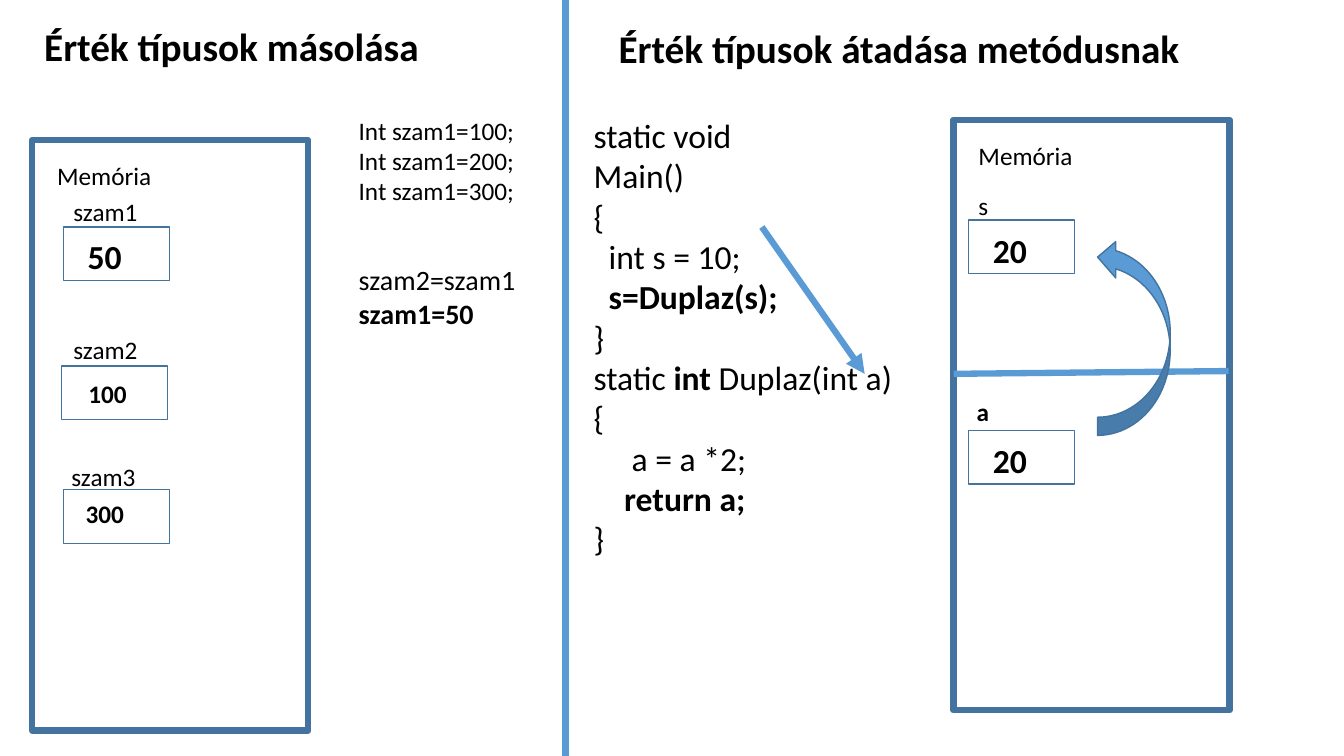
from pptx import Presentation
from pptx.dml.color import RGBColor
from pptx.enum.shapes import MSO_CONNECTOR, MSO_SHAPE
from pptx.enum.text import MSO_ANCHOR, MSO_AUTO_SIZE, PP_ALIGN
from pptx.oxml.ns import qn
from pptx.util import Cm, Pt
from lxml import etree

RECTANGLE = MSO_SHAPE.RECTANGLE
CURVED_ARROW = MSO_SHAPE.CURVED_RIGHT_ARROW
STRAIGHT = MSO_CONNECTOR.STRAIGHT
TOP = MSO_ANCHOR.TOP
LEFT = PP_ALIGN.LEFT
NO_FIT = MSO_AUTO_SIZE.NONE
GROW = MSO_AUTO_SIZE.SHAPE_TO_FIT_TEXT

FONT = "Calibri"
COLORS = {"text": "000000", "accent": "5B9BD5", "outline": "43739E"}
TITLE_ONLY = 5
BOLD_MARK = "|"
THICK, THIN = 4.5, 1
CELL_WIDTH, CELL_HEIGHT = 2.67, 1.35
MEMORY_WIDTH, MEMORY_HEIGHT = 6.96, 14.88

VARIABLES = [
    ("szam1", (1.6, 4.83), (1.6, 5.72), "50", (1.96, 5.82), 24),
    ("szam2", (1.6, 8.31), (1.55, 9.22), "100", (1.98, 9.42), 18),
    ("szam3", (1.55, 11.51), (1.6, 12.34), "300", (1.91, 12.42), 18),
    ("s", (24.41, 4.67), (24.41, 5.54), "20", (24.77, 5.66), 24),
    ("|a|", (24.36, 9.86), (24.41, 10.85), "20", (24.77, 10.95), 24),
]
DECLARATIONS = ["Int szam1=100;", "Int szam1=200;", "Int szam1=300;"]
ASSIGNMENTS = ["szam2=szam1", "|szam1=50|"]
MAIN_METHOD = ["static void Main()", "{", "int s = 10;", "|s=Duplaz(s);|", "}"]
DUPLAZ_METHOD = ["static |int |Duplaz(int a)", "{", "a = a *2;", "|return a;|", "}"]


def color(name):
    """Return the named colour."""
    return RGBColor.from_string(COLORS[name])


def place(shape, left, top, width, height):
    """Set the position and size of a shape in centimetres."""
    shape.left, shape.top = Cm(left), Cm(top)
    shape.width, shape.height = Cm(width), Cm(height)


def write_line(paragraph, line, size):
    """Write one line, with the parts between marks in bold."""
    for number, part in enumerate(line.split(BOLD_MARK)):
        if part:
            run = paragraph.add_run()
            run.text = part
            run.font.name = FONT
            run.font.size = Pt(size)
            run.font.bold = number % 2 == 1
            run.font.color.rgb = color("text")


def format_title(shape, text, left, top, width):
    """Write a heading in a placeholder or text box."""
    place(shape, left, top, width, 1.52)
    frame = shape.text_frame
    frame.word_wrap = True
    frame.auto_size = NO_FIT
    frame.vertical_anchor = TOP
    paragraph = frame.paragraphs[0]
    paragraph.alignment = LEFT
    paragraph.line_spacing = 0.9
    write_line(paragraph, BOLD_MARK + text + BOLD_MARK, 28)


def add_text(slide, lines, position, width, height, size=18, wrap=False, indents=()):
    """Add a text box with one paragraph per line."""
    box = slide.shapes.add_textbox(*map(Cm, (*position, width, height)))
    frame = box.text_frame
    frame.word_wrap = wrap
    frame.auto_size = GROW
    for number, line in enumerate(lines):
        paragraph = frame.add_paragraph() if number else frame.paragraphs[0]
        write_line(paragraph, line, size)
        if number in indents:
            properties = paragraph._p.get_or_add_pPr()
            properties.set("marL", str(Cm(indents[number])))


def add_outlined(slide, kind, position, width, height, line_width, fill=None):
    """Add a preset shape with the dark blue outline."""
    shape = slide.shapes.add_shape(kind, *map(Cm, (*position, width, height)))
    shape.shadow.inherit = False
    if fill:
        shape.fill.solid()
        shape.fill.fore_color.rgb = color(fill)
    else:
        shape.fill.background()
    shape.line.color.rgb = color("outline")
    shape.line.width = Pt(line_width)
    return shape


def add_line(slide, start, end, arrow=False):
    """Add a thick straight line, optionally ending in an arrowhead."""
    connector = slide.shapes.add_connector(STRAIGHT, *map(Cm, (*start, *end)))
    connector.line.color.rgb = color("accent")
    connector.line.width = Pt(THICK)
    properties = connector._element.spPr
    if arrow:
        outline = properties.find(qn("a:ln"))
        etree.SubElement(outline, qn("a:tailEnd"), type="triangle")
    etree.SubElement(properties, qn("a:effectLst"))


def add_memory(slide, left, top):
    """Add a memory frame with its caption."""
    add_outlined(slide, RECTANGLE, (left, top), MEMORY_WIDTH, MEMORY_HEIGHT, THICK)
    add_text(slide, ["Memória"], (left + 0.38, top + 0.39), 3, 1.02, wrap=True)


def add_variable(slide, name, name_at, cell_at, value, value_at, size):
    """Add a named memory cell with its value."""
    add_outlined(slide, RECTANGLE, cell_at, CELL_WIDTH, CELL_HEIGHT, THIN)
    add_text(slide, [name], name_at, 3.56, 1.02, wrap=True)
    width, height = (1.37, 1.27) if size == 24 else (1.5, 1.02)
    add_text(slide, [BOLD_MARK + value + BOLD_MARK], value_at, width, height, size)


def main():
    """Build the slide and save it."""
    presentation = Presentation()
    presentation.slide_width, presentation.slide_height = Cm(33.87), Cm(19.05)
    slide = presentation.slides.add_slide(presentation.slide_layouts[TITLE_ONLY])

    format_title(slide.shapes.title, "Érték típusok másolása", 0.86, 0.56, 11.76)
    passing_title = slide.shapes.add_textbox(0, 0, 0, 0)
    format_title(passing_title, "Érték típusok átadása metódusnak", 15.34, 0.61, 16.76)

    add_memory(slide, 0.81, 3.53)
    add_memory(slide, 24.03, 3.02)
    for variable in VARIABLES:
        add_variable(slide, *variable)

    add_text(slide, DECLARATIONS, (8.79, 2.77), 4.47, 2.58)
    add_text(slide, ASSIGNMENTS, (8.79, 6.5), 4.5, 1.96, 20)
    add_text(slide, MAIN_METHOD, (14.71, 2.77), 6.4, 5.4, 24, indents={2: 0.38, 3: 0.38})
    add_text(slide, DUPLAZ_METHOD, (14.71, 8.87), 8.1, 5.4, 24, indents={2: 0.96, 3: 0.77})

    add_line(slide, (14.25, 0), (14.25, 19.05))
    add_line(slide, (19.2, 5.72), (21.79, 9.42), arrow=True)
    add_line(slide, (24.03, 9.42), (30.96, 9.35))
    return_arrow = add_outlined(
        slide, CURVED_ARROW, (27.66, 6.02), 1.83, 4.95, THIN, "accent")
    return_arrow.rotation = 180

    presentation.save("out.pptx")


main()
